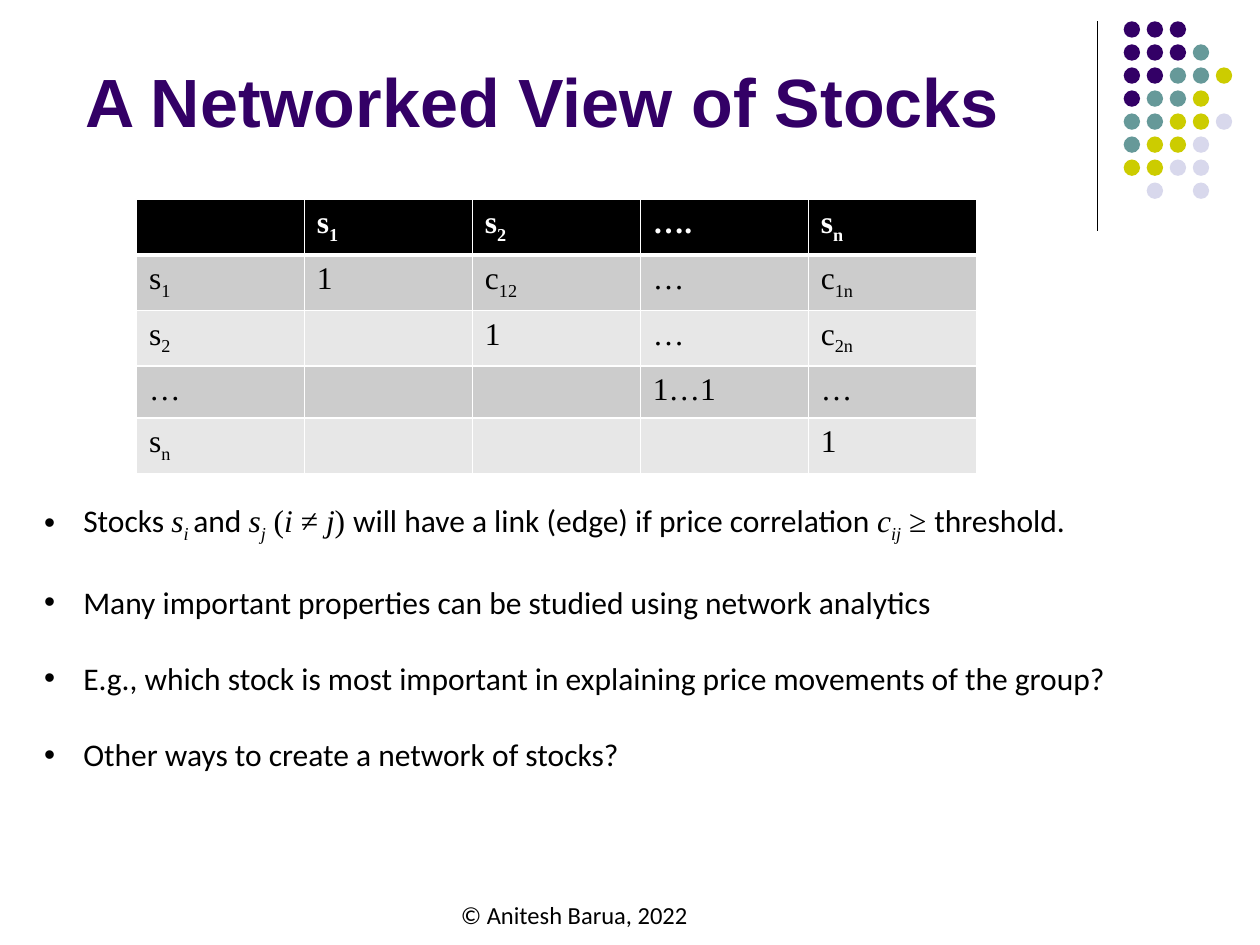
from pptx import Presentation
from pptx.dml.color import RGBColor
from pptx.enum.shapes import MSO_CONNECTOR, MSO_SHAPE
from pptx.enum.text import MSO_ANCHOR
from pptx.oxml.ns import qn
from pptx.util import Cm, Pt
from lxml.etree import SubElement, Element

BLACK = RGBColor(0x00, 0x00, 0x00)
WHITE = RGBColor(0xFF, 0xFF, 0xFF)
PURPLE = RGBColor(0x33, 0x00, 0x66)
TEAL = RGBColor(0x66, 0x99, 0x99)
LIME = RGBColor(0xCC, 0xCC, 0x00)
LILAC = RGBColor(0xD8, 0xD8, 0xEC)
GREY = RGBColor(0xCC, 0xCC, 0xCC)
PALE = RGBColor(0xE7, 0xE7, 0xE7)

TITLE = {"name": "Arial", "size": Pt(39), "bold": True, "color": PURPLE}
BODY = {"name": "Calibri", "size": Pt(18), "color": BLACK}
MATH = {**BODY, "name": "Times New Roman"}
VAR = {**MATH, "italic": True}
SUB = {**VAR, "baseline": -25000}
FOOT = {**BODY, "size": Pt(14)}
CELL = {**MATH, "bold": False}
HEAD = {**MATH, "bold": True, "color": WHITE}

DOTS = ["PPP", "PPPT", "PPTTY", "PTTY", "TTYYL", "TYYL", "YYLL", " L L"]
DOT_COLORS = {"P": PURPLE, "T": TEAL, "Y": LIME, "L": LILAC}

# An underscore starts a subscript
MATRIX = [
    ["", "s_1", "s_2", "….", "s_n"],
    ["s_1", "1", "c_12", "…", "c_1n"],
    ["s_2", "", "1", "…", "c_2n"],
    ["…", "", "", "1…1", "…"],
    ["s_n", "", "", "", "1"],
]

BULLETS = [
    [("Stocks ", BODY), ("s", VAR), ("i ", SUB), ("and ", BODY), ("s", VAR),
     ("j", SUB), (" (", MATH), ("i", VAR), (" ≠ ", MATH), ("j", VAR),
     (") ", MATH), ("will have a link (edge) if price correlation ", BODY),
     ("c", VAR), ("ij", SUB), (" ≥ ", MATH), ("threshold.", BODY)],
    [("Many important properties can be studied using network analytics", BODY)],
    [("E.g., which stock is most important in explaining price movements "
      "of the group?", BODY)],
    [("Other ways to create a network of stocks?", BODY)],
]


def add_run(p, text, fmt):
    r = p.add_run()
    r.text = text
    for key, value in fmt.items():
        if key == "color":
            r.font.color.rgb = value
        elif key == "baseline":
            r._r.get_or_add_rPr().set("baseline", str(value))
        else:
            setattr(r.font, key, value)


def add_text_box(s, x, y, w, h, anchor=MSO_ANCHOR.TOP):
    tf = s.shapes.add_textbox(x, y, w, h).text_frame
    tf.word_wrap = True
    tf.vertical_anchor = anchor
    return tf


def add_ornament(s, x, y, w, h):
    # Vertical rule
    line = s.shapes.add_connector(MSO_CONNECTOR.STRAIGHT, x, y, x, y + h)
    line.line.color.rgb = BLACK
    line.line.width = Pt(0.75)
    SubElement(line._element.spPr, qn("a:effectLst"))

    # Dot grid, aligned to the right of the box
    d = Cm(0.33)
    pitch = Cm(3.25) / (len(DOTS) - 1)
    left = x + w - d - 4 * pitch
    for i, row in enumerate(DOTS):
        for j, code in enumerate(row):
            if code == " ":
                continue
            sp = s.shapes.add_shape(MSO_SHAPE.OVAL, round(left + j * pitch),
                                    round(y + i * pitch), d, d)
            sp.shadow.inherit = False
            sp.fill.solid()
            sp.fill.fore_color.rgb = DOT_COLORS[code]
            sp.line.fill.background()


def add_title(s, x, y, w, h):
    tf = add_text_box(s, x, y, w, h, MSO_ANCHOR.BOTTOM)
    add_run(tf.paragraphs[0], "A Networked View of Stocks", TITLE)


def set_borders(cell, widths):
    tcPr = cell._tc.get_or_add_tcPr()
    for i, (side, width) in enumerate(widths.items()):
        ln = Element(qn(f"a:ln{side}"), w=str(Pt(width)))
        fill = SubElement(ln, qn("a:solidFill"))
        SubElement(fill, qn("a:srgbClr"), val=str(WHITE))
        tcPr.insert(i, ln)


def add_matrix(s, x, y, w, h):
    rows, cols = len(MATRIX), len(MATRIX[0])
    table = s.shapes.add_table(rows, cols, x, y, w, h).table
    for i, row in enumerate(MATRIX):
        fmt = CELL if i else HEAD
        for j, text in enumerate(row):
            cell = table.cell(i, j)
            cell.fill.solid()
            cell.fill.fore_color.rgb = (GREY if i % 2 else PALE) if i else BLACK
            # The rule under the header row is thicker
            set_borders(cell, {"L": 1, "R": 1, "T": 3 if i == 1 else 1,
                               "B": 3 if i == 0 else 1})
            base, _, sub = text.partition("_")
            p = cell.text_frame.paragraphs[0]
            if base:
                add_run(p, base, fmt)
            if sub:
                add_run(p, sub, {**fmt, "baseline": -25000})


def add_bullets(s, x, y, w, h):
    tf = add_text_box(s, x, y, w, h)
    for i, runs in enumerate(BULLETS):
        p = tf.add_paragraph() if i else tf.paragraphs[0]
        if i:
            p.space_before = Pt(22)
        pPr = p._p.get_or_add_pPr()
        pPr.set("marL", str(Cm(0.79)))
        pPr.set("indent", str(-Cm(0.79)))
        SubElement(pPr, qn("a:buFont"), typeface="Arial")
        SubElement(pPr, qn("a:buChar"), char="•")
        for text, fmt in runs:
            add_run(p, text, fmt)


def add_footer(s, x, y, w, h):
    p = add_text_box(s, x, y, w, h).paragraphs[0]
    p.line_spacing = 1.07
    p.space_after = Pt(8)
    add_run(p, "© Anitesh Barua, 2022", FOOT)


def main():
    prs = Presentation()
    prs.slide_width, prs.slide_height = Cm(25.4), Cm(19.05)
    s = prs.slides.add_slide(prs.slide_layouts[6])
    add_ornament(s, Cm(22.12), Cm(0.43), Cm(2.72), Cm(4.22))
    add_title(s, Cm(1.47), Cm(-0.64), Cm(20.96), Cm(3.61))
    add_matrix(s, Cm(2.75), Cm(4.02), Cm(16.93), Cm(5.2))
    add_bullets(s, Cm(0.64), Cm(9.98), Cm(22.15), Cm(5.64))
    add_footer(s, Cm(9.04), Cm(17.98), Cm(5.13), Cm(0.86))
    prs.save("out.pptx")


if __name__ == "__main__":
    main()
